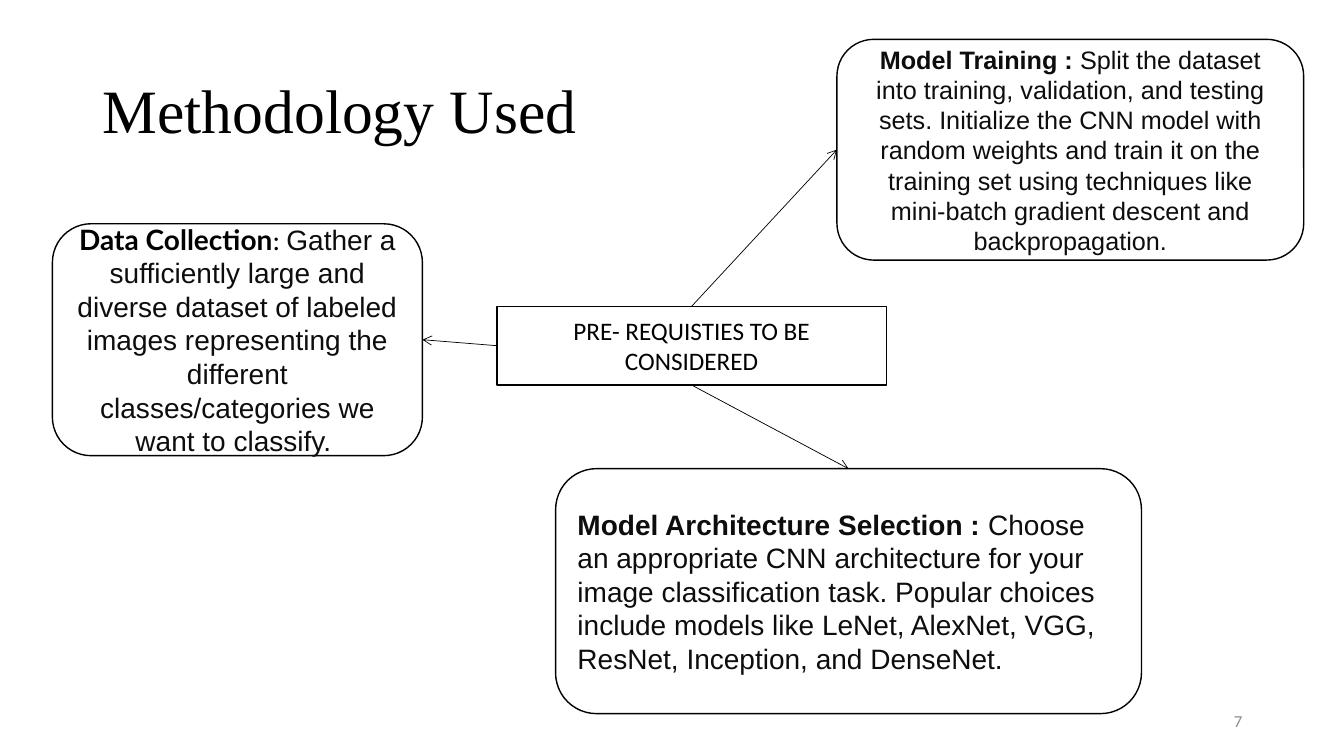
from pptx import Presentation, util as u
from pptx.dml.color import RGBColor
from pptx.enum import shapes as es, text as et
from pptx.oxml import parse_xml
from pptx.oxml.ns import nsdecls

WIDE, HIGH = 13.33, 7.5
THEME = {
    "ink": "000000", "soft": "0D0D0D", "gray": "8C8C8C", "paper": "FFFFFF",
    "edge": 1, "link": 0.5,
    "head": {"name": "Times New Roman", "size": u.Pt(44)},
    "foot": {"name": "Calibri", "size": u.Pt(12)},
    "hub": {"name": "Calibri", "size": u.Pt(18)},
    "body": {"name": "Arial", "size": u.Pt(18)},
    "large": {"name": "Arial", "size": u.Pt(20)},
    "label": {"name": "Lato", "size": u.Pt(20)},
    "colon": {"name": "Calibri", "size": u.Pt(20)},
}
LEFT, MID, RIGHT = et.PP_ALIGN.LEFT, et.PP_ALIGN.CENTER, et.PP_ALIGN.RIGHT
RECT, ROUND = es.MSO_SHAPE.RECTANGLE, es.MSO_SHAPE.ROUNDED_RECTANGLE
TOP, WEST, BASE, EAST = range(4)

# Each place is left, top, width, height in percent of the slide.
LABELS = [
    ((6.9, 5.33, 86.27, 19.33), LEFT, 0.9,
     [("Methodology Used", "head", "ink", False)]),
    ((70.67, 92.67, 22.5, 5.33), RIGHT, 1.0,
     [("7", "foot", "gray", False)]),
]
BOXES = {
    "hub": (RECT, (36.98, 40.53, 28.96, 10.4), MID, [
        ("PRE- REQUISTIES TO BE CONSIDERED", "hub", "ink", False)]),
    "train": (ROUND, (62.27, 5.2, 34.73, 29.2), MID, [
        ("Model Training : ", "body", "soft", True),
        ("Split the dataset into training, validation, and testing sets. "
         "Initialize the CNN model with random weights and train it on the "
         "training set using techniques like mini-batch gradient descent and "
         "backpropagation.", "body", "soft", False)]),
    "data": (ROUND, (3.9, 29.6, 27.53, 30.67), MID, [
        ("Data Collection", "label", "ink", True),
        (": ", "colon", "ink", False),
        ("Gather a sufficiently large and diverse dataset of labeled images "
         "representing the different classes/categories we want to classify. ",
         "large", "soft", False)]),
    "model": (ROUND, (41.34, 62, 43.59, 32.4), LEFT, [
        ("Model Architecture Selection : ", "large", "soft", True),
        ("Choose an appropriate CNN architecture for your image "
         "classification task. Popular choices include models like LeNet, "
         "AlexNet, VGG, ResNet, Inception, and DenseNet.",
         "large", "soft", False)]),
}
LINKS = [(TOP, "train", WEST), (WEST, "data", EAST), (BASE, "model", TOP)]


def tint(key):
    return RGBColor.from_string(THEME[key])


def place(share):
    return [u.Inches(part * side / 100)
            for part, side in zip(share, (WIDE, HIGH) * 2)]


def write(shape, align, runs, space=1.0):
    frame = shape.text_frame
    frame.word_wrap = True
    frame.vertical_anchor = et.MSO_ANCHOR.MIDDLE
    para = frame.paragraphs[0]
    para.alignment, para.line_spacing = align, space
    for words, style, color, bold in runs:
        run = para.add_run()
        run.text = words
        for name, value in {**THEME[style], "bold": bold}.items():
            setattr(run.font, name, value)
        run.font.color.rgb = tint(color)


def outline(line, width):
    line.color.rgb = tint("ink")
    line.width = u.Pt(THEME[width])


def add_box(slide, kind, share, align, runs):
    box = slide.shapes.add_shape(kind, *place(share))
    box.shadow.inherit = False
    box.fill.solid()
    box.fill.fore_color.rgb = tint("paper")
    outline(box.line, "edge")
    write(box, align, runs)
    return box


def add_link(slide, start, exit_side, end, entry):
    link = slide.shapes.add_connector(es.MSO_CONNECTOR.STRAIGHT, 0, 0, 0, 0)
    link.begin_connect(start, exit_side)
    link.end_connect(end, entry)
    outline(link.line, "link")
    link.line._get_or_add_ln().append(
        parse_xml(f'<a:tailEnd {nsdecls("a")} type="arrow"/>'))
    link._element.spPr.append(parse_xml(f'<a:effectLst {nsdecls("a")}/>'))


def main():
    deck = Presentation()
    deck.slide_width, deck.slide_height = u.Inches(WIDE), u.Inches(HIGH)
    slide = deck.slides.add_slide(deck.slide_layouts[6])
    for share, align, space, runs in LABELS:
        write(slide.shapes.add_textbox(*place(share)), align, runs, space)
    boxes = {name: add_box(slide, *parts) for name, parts in BOXES.items()}
    for side, goal, entry in LINKS:
        add_link(slide, boxes["hub"], side, boxes[goal], entry)
    deck.save("out.pptx")


if __name__ == "__main__":
    main()
